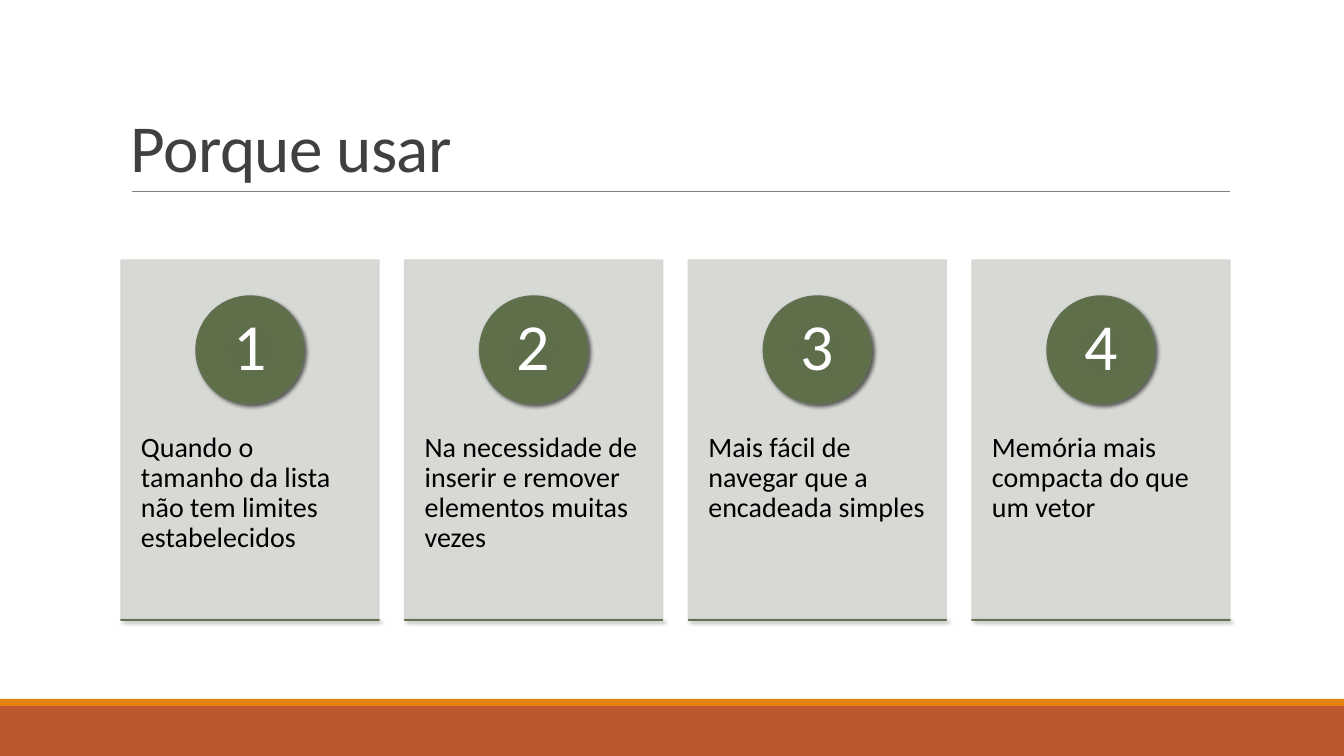
import dataclasses

import lxml.etree
import pptx
import pptx.dml.color
import pptx.enum.shapes
import pptx.enum.text
import pptx.oxml.ns
import pptx.util

EMU_PER_PX = 914400 / 100.8
SLIDE_WIDTH, SLIDE_HEIGHT = 1344, 756
SHAPE = pptx.enum.shapes.MSO_SHAPE
ANCHOR = pptx.enum.text.MSO_ANCHOR
ALIGN = pptx.enum.text.PP_ALIGN

REASONS = [
    "Quando o tamanho da lista não tem limites estabelecidos",
    "Na necessidade de inserir e remover elementos muitas vezes",
    "Mais fácil de navegar que a encadeada simples",
    "Memória mais compacta do que um vetor",
]


@dataclasses.dataclass(frozen=True)
class Theme:
    font: str = "Calibri"
    title_size: int = 48
    number_size: int = 47
    reason_size: int = 20
    title: str = "404040"
    reason: str = "000000"
    number: str = "FFFFFF"
    rule: str = "808080"
    card: str = "D3D5D1"
    card_opacity: int = 90
    badge_line: str = "637052"
    badge_stops: tuple = ((0, "5D6D48"), (34, "5E6D4A"), (70, "5F6F4A"), (100, "637250"))
    shadow: str = "000000"
    shadow_opacity: int = 60
    footer: str = "BD582C"
    footer_edge: str = "E48312"


def px(length):
    return pptx.util.Emu(round(length * EMU_PER_PX))


def rgb(value):
    return pptx.dml.color.RGBColor.from_string(value)


def add_xml(parent, tag, **attributes):
    values = {name: str(value) for name, value in attributes.items()}
    return lxml.etree.SubElement(parent, pptx.oxml.ns.qn(tag), values)


def add_color(parent, color, opacity=100):
    node = add_xml(parent, "a:srgbClr", val=color)
    if opacity < 100:
        add_xml(node, "a:alpha", val=opacity * 1000)


def write(shape, text, *, font, size, color, anchor=ANCHOR.TOP, align=ALIGN.LEFT,
          margins=(10, 5), line_spacing=0.9, space_after=0, tracking=None):
    """Fill a shape with one formatted paragraph; margins are (sides, top and bottom) in px."""
    frame = shape.text_frame
    frame.word_wrap = True
    frame.auto_size = pptx.enum.text.MSO_AUTO_SIZE.NONE
    frame.vertical_anchor = anchor
    frame.margin_left = frame.margin_right = px(margins[0])
    frame.margin_top = frame.margin_bottom = px(margins[1])
    paragraph = frame.paragraphs[0]
    paragraph.alignment = align
    paragraph.line_spacing = line_spacing
    paragraph.space_after = pptx.util.Pt(space_after)
    run = paragraph.add_run()
    run.text = text
    run.font.name = font
    run.font.size = pptx.util.Pt(size)
    run.font.color.rgb = rgb(color)
    if tracking is not None:
        run.font._element.set("spc", str(round(tracking * 100)))


class SlideBuilder:
    def __init__(self, slide, theme):
        self.slide = slide
        self.theme = theme

    def title(self, text, *box):
        heading = self.slide.shapes.title
        heading.left, heading.top, heading.width, heading.height = map(px, box)
        write(heading, text, font=self.theme.font, size=self.theme.title_size,
              color=self.theme.title, anchor=ANCHOR.BOTTOM, line_spacing=0.85, tracking=-0.5)

    def rule(self, left, right, y):
        rule = self.slide.shapes.add_connector(
            pptx.enum.shapes.MSO_CONNECTOR.STRAIGHT, px(left), px(y), px(right), px(y))
        rule.line.color.rgb = rgb(self.theme.rule)
        rule.line.width = pptx.util.Pt(0.5)
        add_xml(rule._element.spPr, "a:effectLst")

    def panel(self, shapes, color, *box, opacity=100, outlined=False):
        panel = shapes.add_shape(SHAPE.RECTANGLE, *map(px, box))
        panel.shadow.inherit = False
        fills = [panel.fill]
        if outlined:
            panel.line.width = pptx.util.Pt(1)
            fills.append(panel.line.fill)
        else:
            panel.line.fill.background()
        for fill in fills:
            fill.solid()
            fill.fore_color.rgb = rgb(color)
        if opacity < 100:
            for node in panel._element.spPr.iter(pptx.oxml.ns.qn("a:srgbClr")):
                add_xml(node, "a:alpha", val=opacity * 1000)

    def accent(self, shapes, kind, *box):
        """Add a green radial-gradient shape with a soft shadow."""
        accent = shapes.add_shape(kind, *map(px, box))
        accent.line.color.rgb = rgb(self.theme.badge_line)
        accent.line.width = pptx.util.Pt(1)
        accent.fill.gradient()
        gradient = accent._element.spPr.find(pptx.oxml.ns.qn("a:gradFill"))
        for child in list(gradient):
            gradient.remove(child)
        stops = add_xml(gradient, "a:gsLst")
        for position, color in self.theme.badge_stops:
            add_color(add_xml(stops, "a:gs", pos=position * 1000), color)
        radial = add_xml(gradient, "a:path", path="circle")
        add_xml(radial, "a:fillToRect", **dict.fromkeys("ltrb", 100000))
        accent.shadow.inherit = False
        effects = accent._element.spPr.find(pptx.oxml.ns.qn("a:effectLst"))
        shadow = add_xml(effects, "a:outerShdw", blurRad=pptx.util.Pt(3), dist=pptx.util.Pt(2),
                         dir=45 * 60000, algn="ctr", rotWithShape=0)
        add_color(shadow, self.theme.shadow, self.theme.shadow_opacity)

    def label(self, shapes, text, *box, **style):
        write(shapes.add_textbox(*map(px, box)), text, font=self.theme.font, space_after=7, **style)

    def card(self, number, reason, left, top, width, height):
        theme = self.theme
        shapes = self.slide.shapes.add_group_shape().shapes
        badge, digit = 108, 77
        self.panel(shapes, theme.card, left, top, width, height,
                   opacity=theme.card_opacity, outlined=True)
        self.label(shapes, reason, left, top + 137, width, 217, size=theme.reason_size,
                   color=theme.reason, margins=(20, 36))
        self.accent(shapes, SHAPE.OVAL, left + (width - badge) / 2, top + 36, badge, badge)
        self.label(shapes, str(number), left + (width - digit) / 2, top + 51, digit, digit,
                   size=theme.number_size, color=theme.number, margins=(8, 1),
                   anchor=ANCHOR.MIDDLE, align=ALIGN.CENTER)
        self.accent(shapes, SHAPE.RECTANGLE, left, top + height, width, 0)


def main():
    deck = pptx.Presentation()
    deck.slide_width, deck.slide_height = px(SLIDE_WIDTH), px(SLIDE_HEIGHT)
    theme = Theme()
    builder = SlideBuilder(deck.slides.add_slide(deck.slide_layouts[5]), theme)
    shapes = builder.slide.shapes

    builder.panel(shapes, theme.footer, 0, 706, SLIDE_WIDTH, 50)
    builder.panel(shapes, theme.footer_edge, 0, 699, SLIDE_WIDTH, 7)
    builder.rule(132, 1230, 191)
    builder.title("Porque usar", 121, 31, 1109, 160)

    first_left, last_right, card_width = 121, 1230, 258
    pitch = (last_right - first_left - card_width) / (len(REASONS) - 1)
    for index, reason in enumerate(REASONS):
        builder.card(index + 1, reason, first_left + index * pitch, 260, card_width, 360)

    deck.save("out.pptx")


if __name__ == "__main__":
    main()
